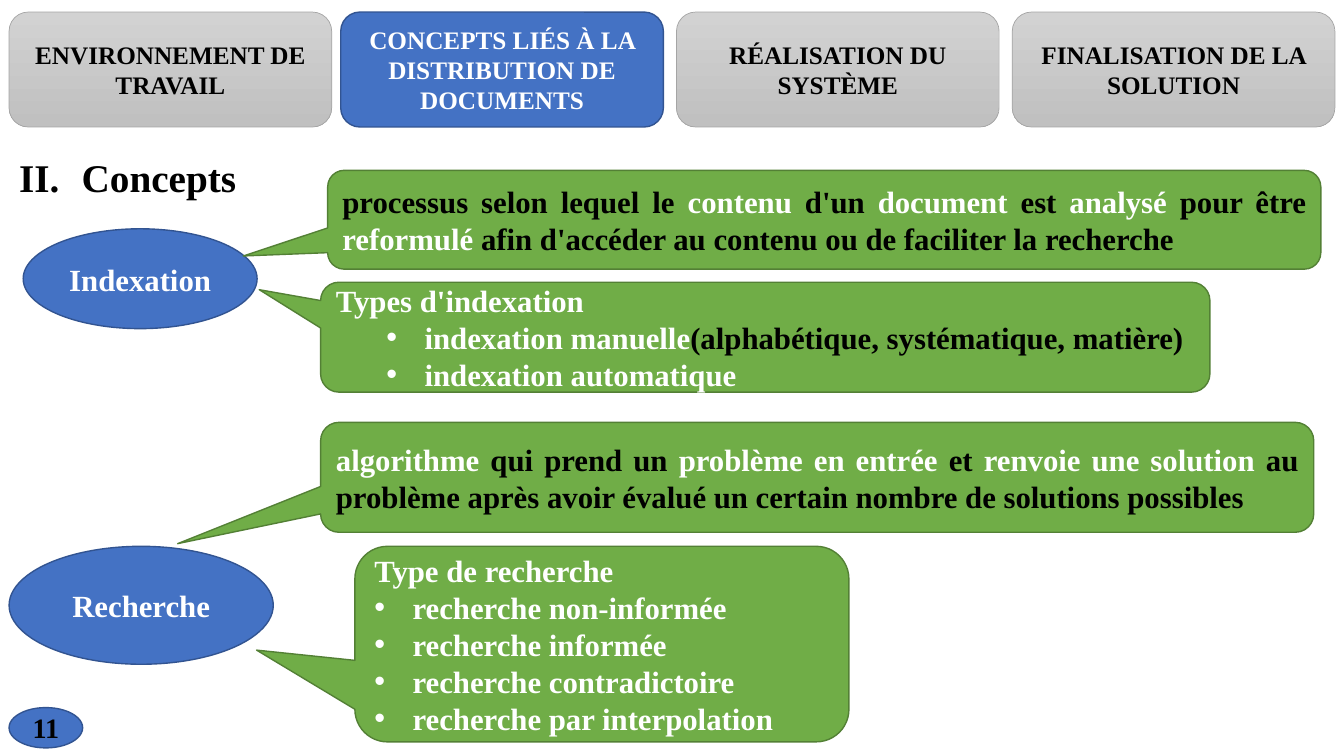
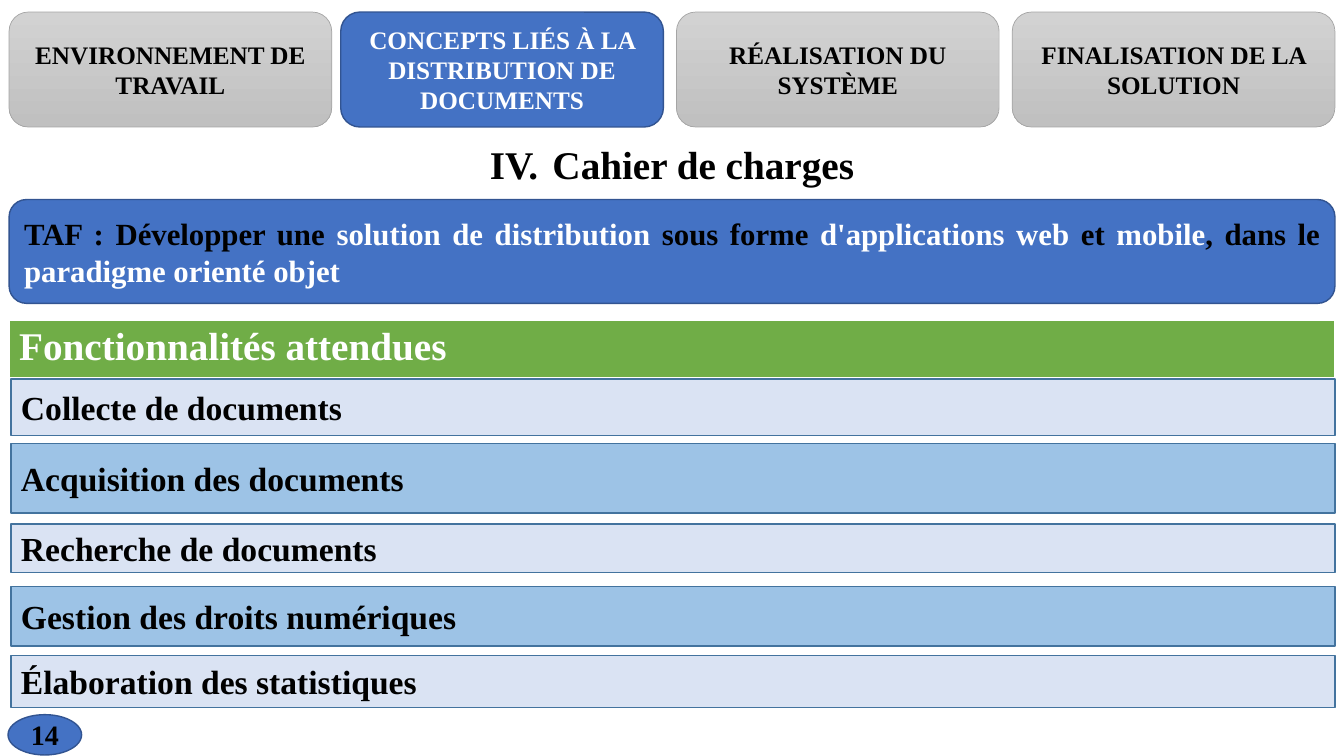
from lxml.etree import SubElement
from pptx import Presentation
from pptx.dml.color import RGBColor
from pptx.enum.shapes import MSO_SHAPE as SHAPE
from pptx.enum.text import MSO_ANCHOR as ANCHOR, MSO_AUTO_SIZE as AUTO_SIZE, PP_ALIGN as ALIGN
from pptx.oxml.ns import qn
from pptx.util import Inches, Pt

FONT = "Times New Roman"
BLACK = RGBColor(0x00, 0x00, 0x00)
WHITE = RGBColor(0xFF, 0xFF, 0xFF)
BLUE = RGBColor(0x44, 0x72, 0xC4)
BLUE_EDGE = RGBColor(0x32, 0x54, 0x91)
GREEN = RGBColor(0x70, 0xAD, 0x47)
GREEN_EDGE = RGBColor(0x53, 0x80, 0x35)
GREY_LIGHT = RGBColor(0xD2, 0xD2, 0xD2)
GREY_DARK = RGBColor(0xC0, 0xC0, 0xC0)
GREY_EDGE = RGBColor(0xA5, 0xA5, 0xA5)
ROW_PALE = RGBColor(0xDA, 0xE3, 0xF3)
ROW_BLUE = RGBColor(0x9D, 0xC3, 0xE6)
ROW_EDGE = RGBColor(0x43, 0x73, 0x9E)

MARGIN = 0.09
CONTENT_WIDTH = 13.15
TAB_SIZE = (3.2, 1.14)
TAB_TOP = 0.12
TABS = [
    (MARGIN, "ENVIRONNEMENT DE TRAVAIL"),
    (3.38, "CONCEPTS LIÉS À LA DISTRIBUTION DE DOCUMENTS"),
    (6.71, "RÉALISATION DU SYSTÈME"),
    (10.04, "FINALISATION DE LA SOLUTION"),
]
ACTIVE_TAB = 1

FEATURES = [
    (3.76, 0.56, "Collecte de documents"),
    (4.4, 0.69, "Acquisition des documents"),
    (5.2, 0.48, "Recherche de documents"),
    (5.82, 0.59, "Gestion des droits numériques"),
    (6.5, 0.52, "Élaboration des statistiques"),
]


def add_spans(para, text, size, align):
    """Fill a paragraph with bold runs, black and white in turn at each bar."""
    para.alignment = align
    for index, part in enumerate(text.split("|")):
        if part:
            span = para.add_run()
            span.text = part
            span.font.name = FONT
            span.font.size = Pt(size)
            span.font.bold = True
            span.font.color.rgb = WHITE if index % 2 else BLACK


def add_marker(para, tag, font, left, hanging, **settings):
    """Give a paragraph a hanging bullet or number."""
    properties = para._p.get_or_add_pPr()
    properties.set("marL", str(Inches(left)))
    properties.set("indent", str(-Inches(hanging)))
    SubElement(properties, qn("a:buFont"), typeface=font)
    SubElement(properties, qn(tag), **settings)


def add_box(shapes, kind, bounds, fill, edge, text, size=22, align=ALIGN.CENTER):
    """Add a filled, outlined shape with one paragraph of text."""
    box = shapes.add_shape(kind, *map(Inches, bounds))
    box.shadow.inherit = False
    box.fill.solid()
    box.fill.fore_color.rgb = fill
    box.line.color.rgb = edge
    box.line.width = Pt(1)
    add_spans(box.text_frame.paragraphs[0], text, size, align)
    return box


def add_callout(shapes, bounds, pointer, text, bullets=(), indent=0.38):
    """Add a green callout, with an optional bulleted list under its text."""
    box = add_box(shapes, SHAPE.ROUNDED_RECTANGULAR_CALLOUT, bounds, GREEN, GREEN_EDGE,
                  text, align=ALIGN.JUSTIFY)
    box.adjustments[0], box.adjustments[1] = pointer
    for bullet in bullets:
        para = box.text_frame.add_paragraph()
        add_spans(para, bullet, 22, ALIGN.JUSTIFY)
        add_marker(para, "a:buChar", "Arial", indent, 0.38, char="•")


def add_tabs(page):
    """Add the navigation band with its active chapter in blue."""
    for index, (left, label) in enumerate(TABS):
        active = index == ACTIVE_TAB
        text = f"|{label}" if active else label
        tab = add_box(page.shapes, SHAPE.ROUNDED_RECTANGLE, (left, TAB_TOP, *TAB_SIZE),
                      BLUE, BLUE_EDGE, text, 18)
        if not active:
            tab.fill.gradient()
            tab.fill.gradient_angle = 270
            for stop, color in zip(tab.fill.gradient_stops, (GREY_LIGHT, GREY_DARK)):
                stop.color.rgb = color
            tab.line.color.rgb = GREY_EDGE
            tab.line.width = Pt(0.5)


def add_heading(page, text, number, top, height, align):
    """Put the numbered heading in the body placeholder."""
    page.shapes.title.element.getparent().remove(page.shapes.title.element)
    body = page.placeholders[1]
    body.left, body.top, body.width, body.height = map(
        Inches, (MARGIN, top, CONTENT_WIDTH, height))
    frame = body.text_frame
    frame.auto_size = AUTO_SIZE.NONE
    frame.vertical_anchor = ANCHOR.TOP
    para = frame.paragraphs[0]
    add_spans(para, text, 28, align)
    para.line_spacing = 0.9
    para.space_before = Pt(10)
    add_marker(para, "a:buAutoNum", FONT, 0.62, 0.62, type="romanUcPeriod", startAt=str(number))


def add_page(deck, heading, number, top, height, align):
    """Add a slide with the shared band and a numbered heading."""
    page = deck.slides.add_slide(deck.slide_layouts[1])
    add_heading(page, heading, number, top, height, align)
    add_tabs(page)
    return page


def add_page_number(page, number, left, top):
    """Add the page number in its blue ellipse."""
    add_box(page.shapes, SHAPE.OVAL, (left, top, 0.73, 0.4), BLUE, BLUE_EDGE, number, 20)


def add_concept(page, name, bounds):
    """Start a group with the concept's ellipse and return its shapes."""
    shapes = page.shapes.add_group_shape().shapes
    add_box(shapes, SHAPE.OVAL, bounds, BLUE, BLUE_EDGE, f"|{name}")
    return shapes


def add_table_header(page, text):
    """Add the one-row table that heads the features."""
    bounds = map(Inches, (MARGIN, 3.18, CONTENT_WIDTH, 0.57))
    cell = page.shapes.add_table(1, 1, *bounds).table.cell(0, 0)
    cell.fill.solid()
    cell.fill.fore_color.rgb = GREEN
    add_spans(cell.text_frame.paragraphs[0], f"|{text}", 28, ALIGN.LEFT)


def build_concepts(deck):
    """Build the slide on indexing and search."""
    page = add_page(deck, "Concepts", 2, 1.52, 5.84, ALIGN.JUSTIFY)
    indexing = add_concept(page, "Indexation", (0.23, 2.27, 2.32, 0.99))
    add_callout(indexing, (3.25, 1.69, 9.85, 0.98), (-0.585, 0.367),
                "processus selon lequel le |contenu |d'un |document |est |analysé |pour être "
                "|reformulé |afin d'accéder au contenu ou de faciliter la recherche")
    add_callout(indexing, (3.18, 2.8, 8.82, 1.09), (-0.569, -0.432), "|Types d'indexation",
                ["|indexation manuelle|(alphabétique, systématique, matière)",
                 "|indexation automatique"], 0.88)
    search = add_concept(page, "Recherche", (MARGIN, 5.42, 2.62, 1.17))
    add_callout(search, (3.18, 4.19, 9.85, 1.09), (-0.644, 0.604),
                "|algorithme |qui prend un |problème en entrée| et| renvoie une solution"
                "| au problème après avoir évalué un certain nombre de solutions possibles")
    add_callout(search, (3.52, 5.42, 4.9, 1.94), (-0.699, 0.031), "|Type de recherche",
                ["|recherche non-informée", "|recherche informée",
                 "|recherche contradictoire", "|recherche par interpolation"])
    add_page_number(page, "11", MARGIN, 7.02)


def build_requirements(deck):
    """Build the slide on the requirements."""
    page = add_page(deck, "Cahier de charges", 4, 1.39, 6.03, ALIGN.CENTER)
    add_box(page.shapes, SHAPE.FLOWCHART_ALTERNATE_PROCESS, (MARGIN, 1.98, CONTENT_WIDTH, 1.03),
            BLUE, BLUE_EDGE,
            "TAF : Développer une |solution de distribution| sous forme |d'applications web"
            "| et |mobile|, dans le| paradigme orienté objet", align=ALIGN.JUSTIFY)
    add_table_header(page, "Fonctionnalités attendues")
    for index, (top, height, label) in enumerate(FEATURES):
        fill = ROW_BLUE if index % 2 else ROW_PALE
        add_box(page.shapes, SHAPE.RECTANGLE, (0.11, top, 13.13, height), fill, ROW_EDGE,
                label, 24, ALIGN.LEFT)
    add_page_number(page, "14", 0.08, 7.09)


def main():
    """Build and save the deck."""
    deck = Presentation()
    deck.slide_width, deck.slide_height = Inches(13.33), Inches(7.5)
    build_concepts(deck)
    build_requirements(deck)
    deck.save("out.pptx")


if __name__ == "__main__":
    main()
